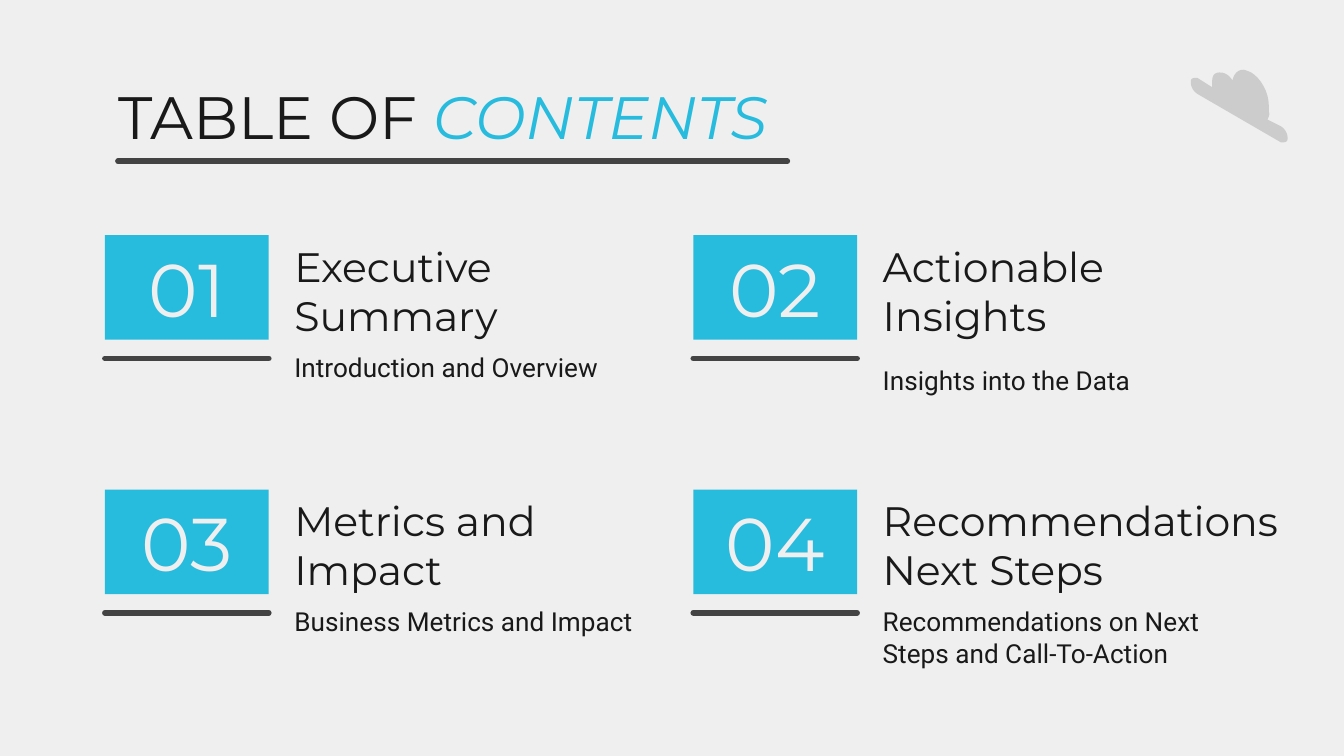
import pptx
import pptx.util
import pptx.dml.color
import pptx.enum.shapes
import pptx.enum.text
import pptx.oxml.ns
from lxml import etree

Pt = pptx.util.Pt
Align = pptx.enum.text.PP_ALIGN
Anchor = pptx.enum.text.MSO_ANCHOR

HUES = {"back": "EFEFEF", "ink": "191919", "blue": "27BBDE",
        "rule": "434343", "cloud": "CCCCCC"}

# Text styles: font name, size, colour
FONTS = {
    "title": {"name": "Montserrat", "size": Pt(32), "color": "ink"},
    "number": {"name": "Montserrat", "size": Pt(40), "color": "back"},
    "head": {"name": "Montserrat", "size": Pt(22), "color": "ink"},
    "note": {"name": "Roboto", "size": Pt(14), "color": "ink"},
}

# Cloud outline: a pair is a straight step, six values are a curve
START = (666, 37.4)
CLOUD = [
    (666.7, 37.4, 668.9, 38.2, 670.3, 38.9),
    (675.4, 41.8, 679.7, 49.7, 679.7, 56.2),
    (679.7, 59.8),
    (680.4, 61.2, 679.7, 62.6, 679, 64.1),
    (686.2, 67.7),
    (688.3, 69.1, 689.8, 71.3, 689.8, 74.2),
    (689.8, 75.6, 689, 76.3, 687.6, 76.3),
    (686.2, 76.3),
    (641.5, 50.4),
    (639.4, 49, 637.9, 46.8, 637.9, 43.9),
    (637.9, 42.5, 638.6, 41.8, 640.1, 41.8),
    (641.5, 41.8),
    (649.4, 46.8),
    (649.4, 43.2),
    (649.4, 40.3, 650.9, 38.9, 653, 38.9),
    (654.5, 38.9, 655.2, 38.9, 656.6, 39.6),
    (658.1, 40.3, 659.5, 41.8, 660.2, 43.2),
    (661, 39.6, 663.1, 37.4, 666, 37.4),
]


def trace(start, steps, count=8):
    """Turn straight and curved steps into a list of points."""
    spots = [start]
    for step in steps:
        if len(step) == 2:
            spots.append(step)
            continue
        x, y = spots[-1]
        a, b, c, d, e, f = step
        for n in range(1, count + 1):
            t = n / count
            u = 1 - t
            w = (u ** 3, 3 * u * u * t, 3 * u * t * t, t ** 3)
            spots.append((sum(p * q for p, q in zip(w, (x, a, c, e))),
                          sum(p * q for p, q in zip(w, (y, b, d, f)))))
    return spots


class Deck:
    def __init__(self):
        self.file = pptx.Presentation()
        self.file.slide_width, self.file.slide_height = Pt(720), Pt(405)
        self.slide = self.file.slides.add_slide(self.file.slide_layouts[5])
        self.shapes = self.slide.shapes
        self.paint(self.slide.background.fill, "back")

    def hue(self, name):
        return pptx.dml.color.RGBColor.from_string(HUES[name])

    def paint(self, fill, name):
        fill.solid()
        fill.fore_color.rgb = self.hue(name)

    def letter(self, shape, lines, style, align=Align.LEFT, **frame):
        """Fill a shape; each line is a list of (text, changes) runs."""
        text = shape.text_frame
        values = {"word_wrap": True, "auto_size": pptx.enum.text.MSO_AUTO_SIZE.NONE,
                  "vertical_anchor": Anchor.TOP, "margin_left": Pt(7.2),
                  "margin_right": Pt(7.2), "margin_top": Pt(7.2),
                  "margin_bottom": Pt(7.2), **frame}
        for key, value in values.items():
            setattr(text, key, value)
        for i, line in enumerate(lines):
            para = text.add_paragraph() if i else text.paragraphs[0]
            para.alignment = align
            for words, change in line:
                run = para.add_run()
                run.text = words
                for key, value in {**FONTS[style], **change}.items():
                    if key == "color":
                        run.font.color.rgb = self.hue(value)
                    else:
                        setattr(run.font, key, value)

    def title(self, box, runs):
        shape = self.shapes.title
        for key, value in zip(("left", "top", "width", "height"), box):
            setattr(shape, key, Pt(value))
        self.letter(shape, [runs], "title", margin_top=0)

    def text(self, box, lines, style, **frame):
        shape = self.shapes.add_textbox(*map(Pt, box))
        self.letter(shape, [[(line, {})] for line in lines], style, **frame)

    def block(self, box, words):
        kind = pptx.enum.shapes.MSO_SHAPE.RECTANGLE
        shape = self.shapes.add_shape(kind, *map(Pt, box))
        shape.shadow.inherit = False
        self.paint(shape.fill, "blue")
        shape.line.fill.background()
        self.letter(shape, [[(words, {})]], "number", Align.CENTER,
                    vertical_anchor=Anchor.MIDDLE)

    def rule(self, x, y, wide):
        kind = pptx.enum.shapes.MSO_CONNECTOR.STRAIGHT
        line = self.shapes.add_connector(kind, *map(Pt, (x, y, x + wide, y)))
        line.line.color.rgb = self.hue("rule")
        line.line.width = Pt(3)
        props = line._element.spPr
        props.find(pptx.oxml.ns.qn("a:ln")).set("cap", "rnd")
        etree.SubElement(props, pptx.oxml.ns.qn("a:effectLst"))

    def outline(self, spots, name):
        spots = [(Pt(x), Pt(y)) for x, y in spots]
        maker = self.shapes.build_freeform(*spots[0])
        maker.add_line_segments(spots[1:], close=True)
        shape = maker.convert_to_shape()
        shape.shadow.inherit = False
        self.paint(shape.fill, name)
        shape.line.fill.background()


def main():
    deck = Deck()

    # Corner cloud, title and its underline
    deck.outline(trace(START, CLOUD), "cloud")
    deck.title((56.2, 42.5, 607.6, 37.4),
               [("TABLE OF ", {}), ("CONTENTS", {"color": "blue", "italic": True})])
    deck.rule(63.2, 86.4, 358.6)

    # Sections: heading lines, heading width, note, top margin of the note
    parts = [
        (["Executive Summary"], 198, "Introduction and Overview", 0),
        (["Actionable Insights"], 198, "Insights into the Data", 7.2),
        (["Metrics and Impact"], 198, "Business Metrics and Impact", 0),
        (["Recommendations", "Next Steps"], 242.6,
         "Recommendations on Next Steps and Call-To-Action", 0),
    ]
    for i, (head, wide, note, gap) in enumerate(parts):
        row, col = divmod(i, 2)
        x, y = 56.2 + col * 315.2, 126 + row * 136.3
        deck.block((x, y, 87.8, 56), f"{i + 1:02}")
        deck.rule(x, y + 66, 87.8)
        deck.text((x + 94.4, y, wide, 56), head, "head",
                  vertical_anchor=Anchor.BOTTOM, margin_bottom=0)
        deck.text((x + 94.4, y + 62.2, 198, 38), [note], "note", margin_top=Pt(gap))

    deck.file.save("out.pptx")


if __name__ == "__main__":
    main()
